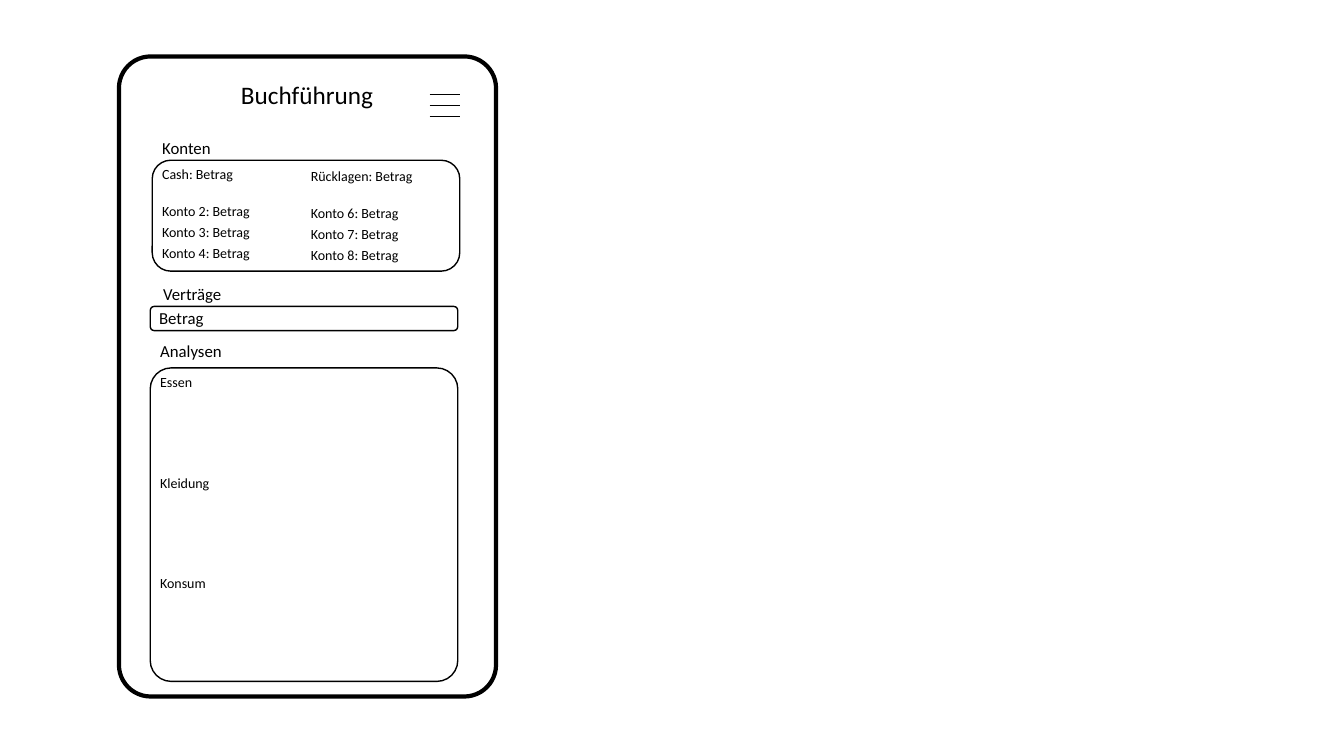
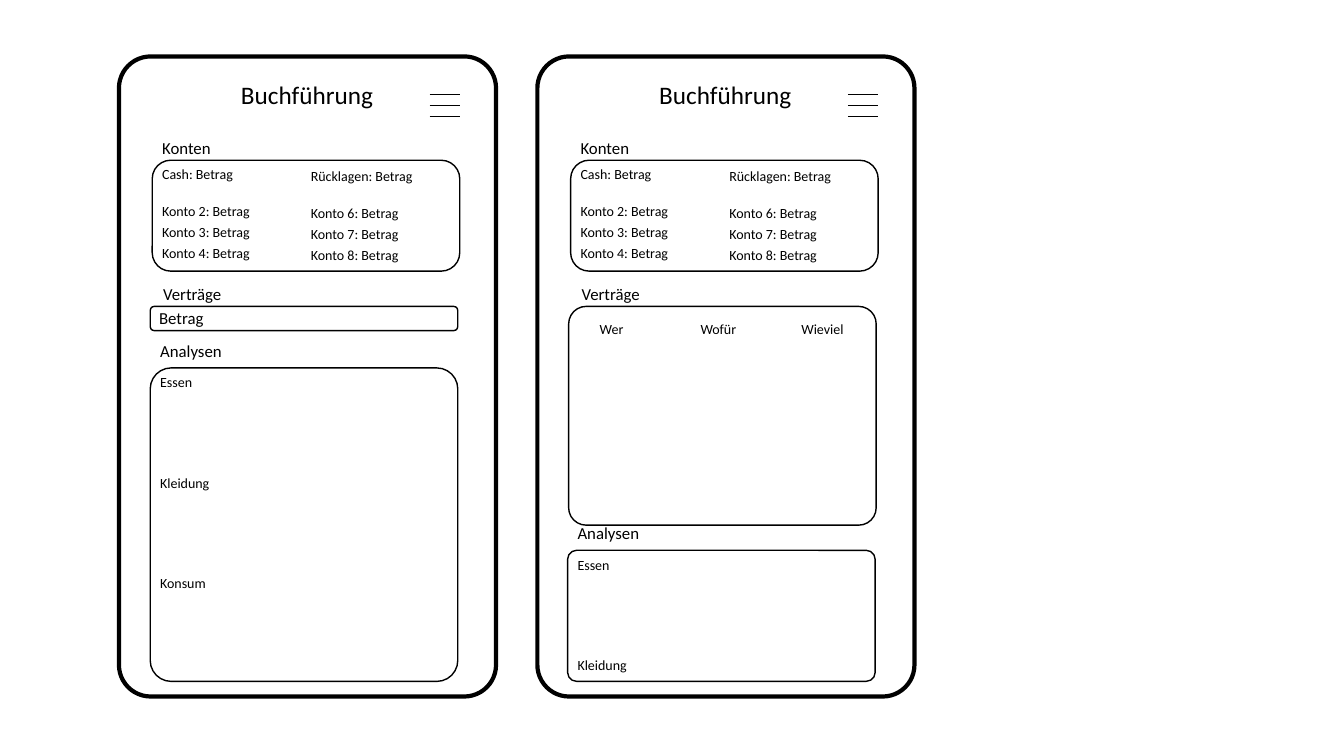
from dataclasses import dataclass

from lxml.etree import SubElement
from pptx import Presentation
from pptx.dml.color import RGBColor
from pptx.enum.shapes import MSO_CONNECTOR, MSO_SHAPE
from pptx.enum.text import MSO_ANCHOR, MSO_AUTO_SIZE, PP_ALIGN
from pptx.oxml.ns import qn
from pptx.util import Inches, Pt


@dataclass(frozen=True)
class Theme:
    ink: RGBColor = RGBColor(0, 0, 0)
    font: str = "Calibri"
    title: int = 18
    heading: int = 12
    entry: int = 10
    frame_line: float = 3
    box_line: float = 1
    menu_line: float = 0.5


THEME = Theme()
CELL = 0.1  # grid cell in inches; all lengths below count cells
PHONE_COLUMNS = (11.8, 53.3)
BOX_WIDTH = 30.5
SCREEN_BOTTOM = 67.6
ACCOUNT_ROWS = (0, 3.7, 5.8, 7.9)
ACCOUNTS = (
    ("Cash: Betrag", "Konto 2: Betrag", "Konto 3: Betrag", "Konto 4: Betrag"),
    ("Rücklagen: Betrag", "Konto 6: Betrag", "Konto 7: Betrag", "Konto 8: Betrag"),
)


def cells(count):
    return Inches(count * CELL)


def write(frame, text, size=THEME.entry, tabs=()):
    """Fill a text frame with one formatted paragraph."""
    frame.word_wrap = True
    frame.auto_size = MSO_AUTO_SIZE.SHAPE_TO_FIT_TEXT
    frame.vertical_anchor = MSO_ANCHOR.TOP
    paragraph = frame.paragraphs[0]
    paragraph.alignment = PP_ALIGN.LEFT
    run = paragraph.add_run()
    run.text = text
    run.font.name, run.font.size = THEME.font, Pt(size)
    run.font.color.rgb = THEME.ink
    if tabs:
        stops = SubElement(paragraph.alignment and frame.paragraphs[0]._p.get_or_add_pPr(),
                           qn("a:tabLst"))
        for tab in tabs:
            SubElement(stops, qn("a:tab"), pos=str(cells(tab)), algn="l")


class Mockup:
    """Draws phone screens; positions are relative to the current phone."""

    def __init__(self):
        self.deck = Presentation()
        self.deck.slide_width, self.deck.slide_height = Inches(13.33), Inches(7.5)
        self.slide = None
        self.origin = 0

    def new_slide(self):
        self.slide = self.deck.slides.add_slide(self.deck.slide_layouts[5])

    def place(self, x, y, width, height):
        return cells(self.origin + x), cells(y), cells(width), cells(height)

    def label(self, text, x, y, width=16.3, height=2.7, **style):
        box = self.slide.shapes.add_textbox(*self.place(x, y, width, height))
        write(box.text_frame, text, **style)

    def heading(self, text, x, y):
        self.label(text, x, y, height=3, size=THEME.heading)

    def title(self, text):
        """Use the title placeholder once, then text boxes for further phones."""
        spot = self.place(11.1, 7.4, 16.3, 4)
        title = self.slide.shapes.title
        if title.has_text_frame and title.text_frame.text:
            title = self.slide.shapes.add_textbox(*spot)
        title.left, title.top, title.width, title.height = spot
        write(title.text_frame, text, size=THEME.title)

    def box(self, x, y, width, height, corner=0.1667, line=THEME.box_line):
        outline = self.slide.shapes.add_shape(
            MSO_SHAPE.ROUNDED_RECTANGLE, *self.place(x, y, width, height))
        outline.adjustments[0] = corner
        outline.shadow.inherit = False
        outline.fill.background()
        outline.line.color.rgb = THEME.ink
        outline.line.width = Pt(line)

    def menu_bar(self, x, y, width):
        left, top, length, _ = self.place(x, y, width, 0)
        bar = self.slide.shapes.add_connector(
            MSO_CONNECTOR.STRAIGHT, left, top, left + length, top)
        bar.line.color.rgb = THEME.ink
        bar.line.width = Pt(THEME.menu_line)
        SubElement(bar._element.spPr, qn("a:effectLst"))

    # Sections of a screen
    def phone(self, position):
        self.origin = PHONE_COLUMNS[position]
        self.box(0, 5.6, 37.4, 63.5, corner=0.084, line=THEME.frame_line)
        self.title("Buchführung")
        for bar in range(3):
            self.menu_bar(30.8, 9.4 + 1.05 * bar, 3)
        self.accounts()

    def accounts(self):
        self.heading("Konten", 3.3, 13.2)
        self.box(3.3, 15.9, BOX_WIDTH, 11)
        for column, names in enumerate(ACCOUNTS):
            for row, name in zip(ACCOUNT_ROWS, names):
                self.label(name, 3.3 + 14.75 * column, 15.9 + 0.2 * column + row)

    def contracts(self, height, corner=0.1667):
        self.heading("Verträge", 3.4, 27.7)
        self.box(3.1, 30.4, BOX_WIDTH, height, corner)

    def analyses(self, x, y, topics):
        top = y + 3.2
        self.heading("Analysen", x, y)
        self.box(x, top, BOX_WIDTH, SCREEN_BOTTOM - top, corner=0.068)
        for row, topic in enumerate(topics):
            self.label(topic, x, top + 0.1 + 9.95 * row)

    # Whole screens
    def overview_screen(self):
        self.phone(0)
        self.contracts(2.4)
        self.heading("Betrag", 3, 30)
        self.analyses(3.1, 33.3, ("Essen", "Kleidung", "Konsum"))

    def contracts_screen(self):
        self.phone(1)
        self.contracts(21.7, corner=0.08)
        self.label("Wer\tWofür \tWieviel", 5.2, 31.3, width=28, tabs=(10, 20))
        self.analyses(3, 51.4, ("Essen", "Kleidung"))


def main():
    mockup = Mockup()
    # Overview alone
    mockup.new_slide()
    mockup.overview_screen()
    # Overview beside the opened contracts
    mockup.new_slide()
    mockup.overview_screen()
    mockup.contracts_screen()
    mockup.deck.save("out.pptx")


if __name__ == "__main__":
    main()
